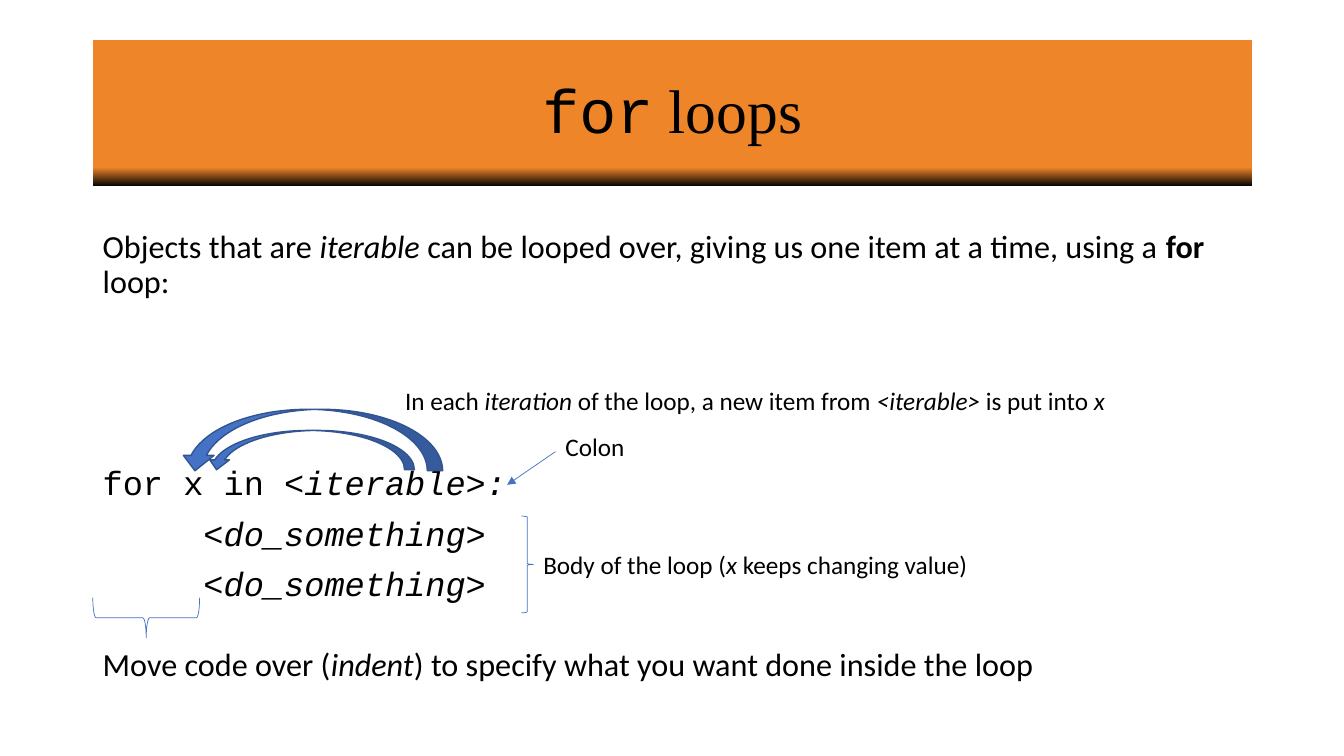
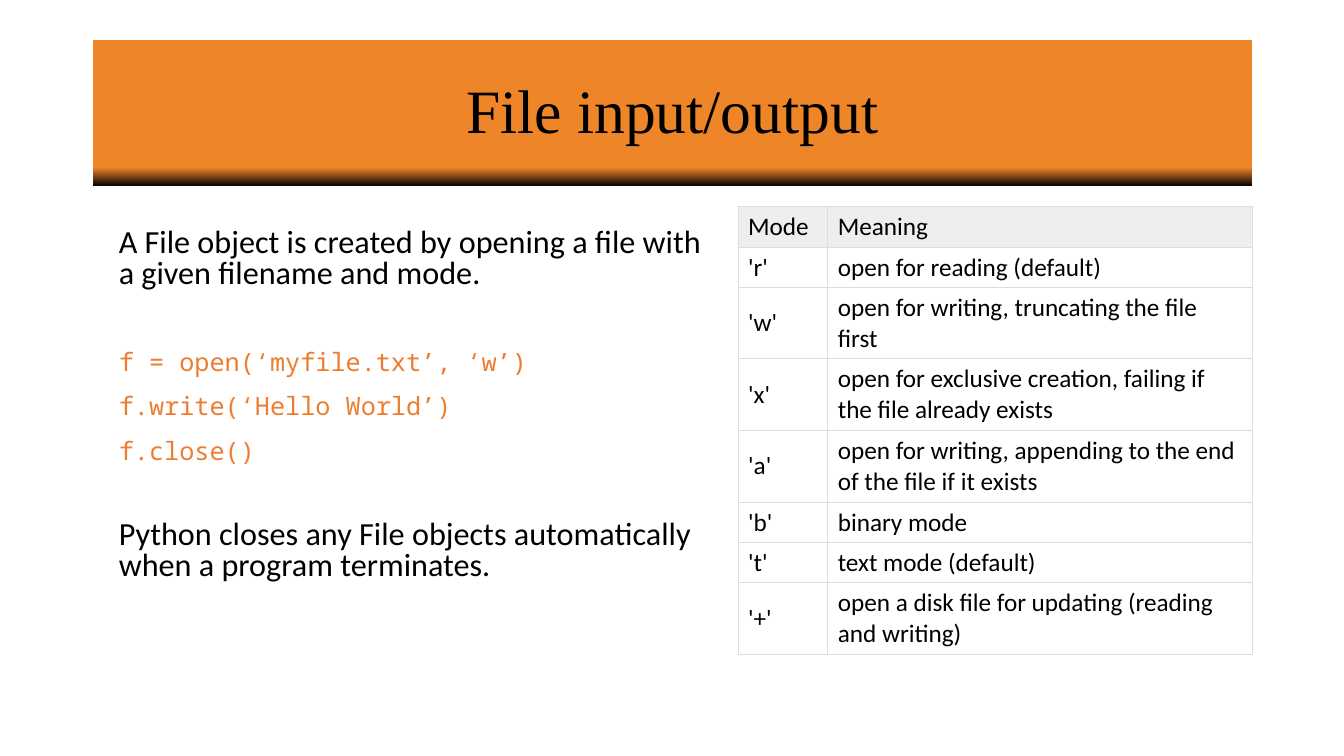
from dataclasses import dataclass

from lxml.etree import SubElement
from pptx import Presentation
from pptx.dml.color import RGBColor
from pptx.enum.shapes import MSO_CONNECTOR, MSO_SHAPE
from pptx.enum.text import MSO_ANCHOR, MSO_AUTO_SIZE, PP_ALIGN
from pptx.oxml.ns import qn
from pptx.util import Inches, Pt


@dataclass(frozen=True)
class Theme:
    ink: RGBColor = RGBColor.from_string("000000")
    paper: RGBColor = RGBColor.from_string("FFFFFF")
    band: RGBColor = RGBColor.from_string("EF8529")
    code: RGBColor = RGBColor.from_string("ED7D31")
    accent: RGBColor = RGBColor.from_string("4472C4")
    accent_edge: RGBColor = RGBColor.from_string("325491")
    header: RGBColor = RGBColor.from_string("EEEEEE")
    grid: str = "DDDDDD"
    sans: str = "Calibri"
    serif: str = "Times New Roman"
    typewriter: str = "Courier New"
    mono: str = "Noto Sans Mono"
    title_size: int = 44
    code_size: int = 24
    body_size: int = 23
    note_size: int = 18


THEME = Theme()


@dataclass(frozen=True)
class Run:
    text: str
    italic: bool = False
    bold: bool = False
    font: str = ""


@dataclass(frozen=True)
class Para:
    runs: tuple
    size: float = THEME.body_size
    font: str = THEME.sans
    color: RGBColor = THEME.ink
    line_spacing: float = 1.0
    before: float = 0
    indent: float = 0
    align: PP_ALIGN = PP_ALIGN.LEFT


def italic(text):
    return Run(text, italic=True)


class Deck:
    def __init__(self, theme):
        self.theme = theme
        self.presentation = Presentation()
        self.presentation.slide_width = Inches(13.33)
        self.presentation.slide_height = Inches(7.5)
        self.slide = None

    def start_slide(self, *title_runs):
        layout = self.presentation.slide_layouts[6]
        self.slide = self.presentation.slides.add_slide(layout)
        band = self.shape(MSO_SHAPE.RECTANGLE, 0.92, 0.4, 11.5, 1.45)
        band.line.fill.background()
        band.fill.gradient()
        band.fill.gradient_angle = 90
        stops = ((0, self.theme.ink), (0.13, self.theme.band))
        for stop, (position, color) in zip(band.fill.gradient_stops, stops):
            stop.position = position
            stop.color.rgb = color
        band.text_frame.word_wrap = True
        band.text_frame.vertical_anchor = MSO_ANCHOR.MIDDLE
        self.set_text(band.text_frame, [
            Para(title_runs, self.theme.title_size, self.theme.serif,
                 line_spacing=0.9, align=PP_ALIGN.CENTER)])

    def set_text(self, frame, paras):
        for index, para in enumerate(paras):
            paragraph = frame.add_paragraph() if index else frame.paragraphs[0]
            paragraph.alignment = para.align
            paragraph.line_spacing = para.line_spacing
            paragraph.space_before = Pt(para.before)
            if para.indent:
                paragraph._p.get_or_add_pPr().set("marL", str(Inches(para.indent)))
            paragraph.font.size = Pt(para.size)
            paragraph.font.name = para.font
            paragraph.font.color.rgb = para.color
            for part in para.runs:
                run = paragraph.add_run()
                run.text = part.text
                if part.italic:
                    run.font.italic = True
                if part.bold:
                    run.font.bold = True
                if part.font:
                    run.font.name = part.font

    def body(self, left, top, width, height, paras):
        box = self.slide.shapes.add_textbox(
            Inches(left), Inches(top), Inches(width), Inches(height))
        box.text_frame.word_wrap = True
        self.set_text(box.text_frame, paras)

    def label(self, left, top, width, height, *runs, size=THEME.note_size):
        box = self.slide.shapes.add_textbox(
            Inches(left), Inches(top), Inches(width), Inches(height))
        box.text_frame.word_wrap = False
        box.text_frame.auto_size = MSO_AUTO_SIZE.SHAPE_TO_FIT_TEXT
        self.set_text(box.text_frame, [Para(runs, size)])

    def shape(self, kind, left, top, width, height):
        shape = self.slide.shapes.add_shape(
            kind, Inches(left), Inches(top), Inches(width), Inches(height))
        shape.shadow.inherit = False
        return shape

    def curved_arrow(self, left, top, width, height):
        arrow = self.shape(MSO_SHAPE.CURVED_DOWN_ARROW, left, top, width, height)
        arrow.rotation = 180
        arrow._element.spPr.xfrm.set("flipV", "1")
        arrow.fill.solid()
        arrow.fill.fore_color.rgb = self.theme.accent
        arrow.line.color.rgb = self.theme.accent_edge
        arrow.line.width = Pt(1)

    def brace(self, left, top, width, height, rotation=0):
        brace = self.shape(MSO_SHAPE.RIGHT_BRACE, left, top, width, height)
        brace.rotation = rotation
        brace.fill.background()
        brace.line.color.rgb = self.theme.accent
        brace.line.width = Pt(0.5)

    def pointer(self, start, end):
        pointer = self.slide.shapes.add_connector(
            MSO_CONNECTOR.STRAIGHT, *map(Inches, start + end))
        pointer.line.color.rgb = self.theme.accent
        pointer.line.width = Pt(0.5)
        SubElement(pointer.line._get_or_add_ln(), qn("a:tailEnd"), type="triangle")
        SubElement(pointer._element.spPr, qn("a:effectLst"))

    def table(self, left, top, widths, heights, rows):
        frame = self.slide.shapes.add_table(
            len(rows), len(widths), Inches(left), Inches(top),
            Inches(sum(widths)), Inches(sum(heights)))
        table = frame.table
        table.first_row = False
        table.horz_banding = False
        for column, width in zip(table.columns, widths):
            column.width = Inches(width)
        for index, (row, height, texts) in enumerate(zip(table.rows, heights, rows)):
            row.height = Inches(height)
            for cell, text in zip(row.cells, texts):
                self.border(cell)
                cell.fill.solid()
                cell.fill.fore_color.rgb = (
                    self.theme.paper if index else self.theme.header)
                cell.vertical_anchor = MSO_ANCHOR.MIDDLE
                self.set_text(cell.text_frame, [Para((Run(text),), self.theme.note_size)])

    def border(self, cell):
        properties = cell._tc.get_or_add_tcPr()
        for side in ("a:lnL", "a:lnR", "a:lnT", "a:lnB"):
            edge = SubElement(properties, qn(side), w=str(Pt(0.75)))
            fill = SubElement(edge, qn("a:solidFill"))
            SubElement(fill, qn("a:srgbClr"), val=self.theme.grid)


def build_for_loops(deck):
    theme = deck.theme
    deck.start_slide(Run("for", font=theme.typewriter), Run(" loops"))

    def code_line(*runs, before=10, indent=0):
        return Para(runs, theme.code_size, theme.typewriter,
                    line_spacing=0.9, before=before, indent=indent)

    intro = Para((Run("Objects that are "), italic("iterable"),
                  Run(" can be looped over, giving us one item at a time, using a "),
                  Run("for", bold=True), Run(" loop:")),
                 line_spacing=0.9, before=10)
    loop_head = code_line(Run("for x in "), italic("<iterable>:"), before=119)
    loop_step = code_line(italic("<do_something>"), indent=1)
    deck.body(0.92, 2.24, 11.74, 4.25, [intro, loop_head, loop_step, loop_step])

    deck.curved_arrow(2.05, 4.27, 2.06, 0.39)
    deck.curved_arrow(1.78, 4.06, 2.61, 0.61)
    deck.label(3.92, 3.77, 7.23, 0.4,
               Run("In each "), italic("iteration"),
               Run(" of the loop, a new item from "), italic("<iterable> "),
               Run("is put into "), italic("x"))
    deck.brace(1.25, 5.6, 0.4, 1.06, rotation=90)
    deck.label(0.92, 6.34, 9.54, 0.49,
               Run("Move code over ("), italic("indent"),
               Run(") to specify what you want done inside the loop"),
               size=theme.body_size)
    deck.brace(5.17, 5.12, 0.12, 0.96)
    deck.label(5.29, 5.4, 4.46, 0.4,
               Run("Body of the loop ("), italic("x"), Run(" keeps changing value)"))
    deck.pointer((5.51, 4.48), (5.03, 4.81))
    deck.label(5.51, 4.23, 0.79, 0.4, Run("Colon"))


def build_file_io(deck):
    theme = deck.theme
    deck.start_slide(Run("File input/output"))

    def sentence(text, before):
        return Para((Run(text),), line_spacing=0.8, before=before)

    def code_line(text, before=10):
        return Para((Run(text),), theme.note_size, theme.mono, theme.code,
                    before=before)

    deck.body(1.08, 2.22, 6.04, 3.69, [
        sentence("A File object is created by opening a file with "
                 "a given filename and mode.", 10),
        code_line("f = open(‘myfile.txt’, ‘w’)", 40),
        code_line("f.write(‘Hello World’)"),
        code_line("f.close()"),
        sentence("Python closes any File objects automatically "
                 "when a program terminates.", 40),
    ])

    one_line, two_lines = 0.4, 0.71
    modes = [
        ("Mode", "Meaning", one_line),
        ("'r'", "open for reading (default)", one_line),
        ("'w'", "open for writing, truncating the file first", two_lines),
        ("'x'", "open for exclusive creation, failing if the file already exists",
         two_lines),
        ("'a'", "open for writing, appending to the end of the file if it exists",
         two_lines),
        ("'b'", "binary mode", one_line),
        ("'t'", "text mode (default)", one_line),
        ("'+'", "open a disk file for updating (reading and writing)", two_lines),
    ]
    deck.table(7.32, 2.05, (0.89, 4.21), [height for _, _, height in modes],
               [(mode, meaning) for mode, meaning, _ in modes])


deck = Deck(THEME)
build_for_loops(deck)
build_file_io(deck)
deck.presentation.save("out.pptx")
